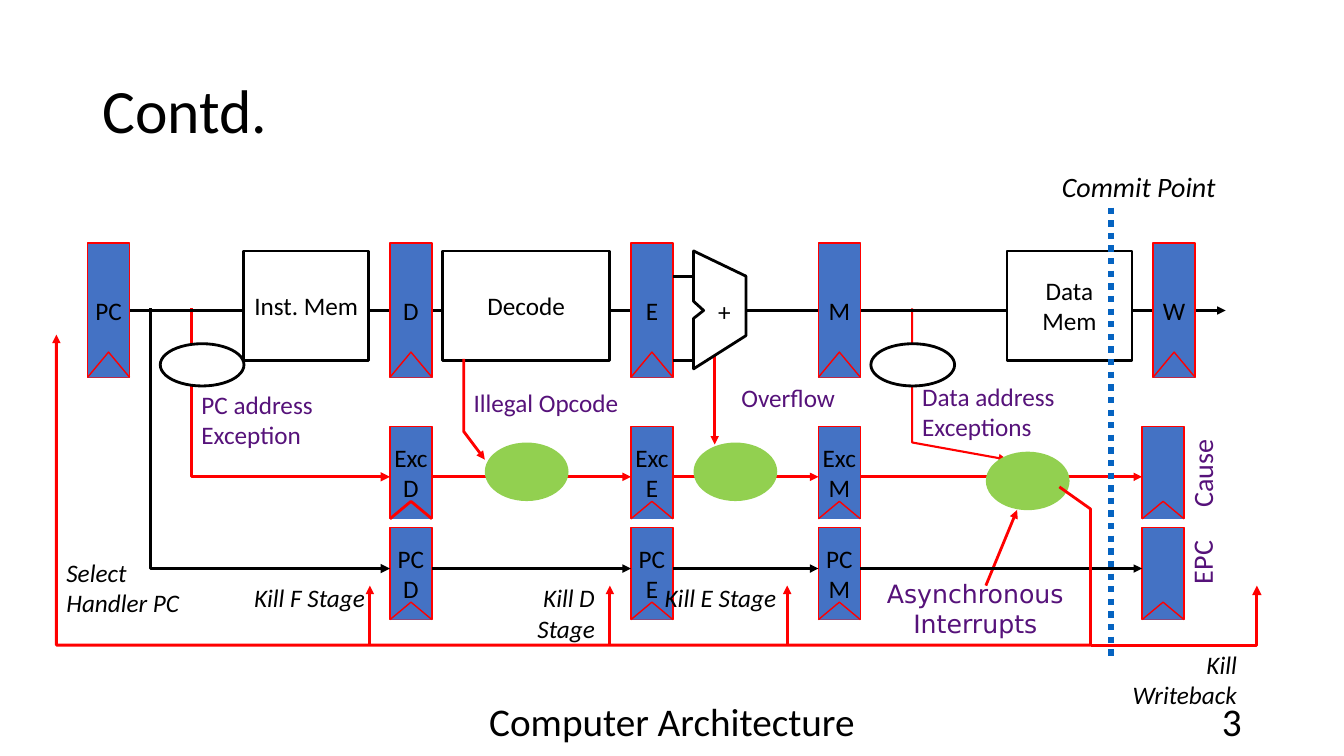
from dataclasses import dataclass
from itertools import pairwise

from lxml import etree
from pptx import Presentation
from pptx.dml.color import RGBColor
from pptx.enum.dml import MSO_LINE
from pptx.enum.shapes import MSO_CONNECTOR, MSO_SHAPE
from pptx.enum.text import MSO_ANCHOR, MSO_AUTO_SIZE, PP_ALIGN
from pptx.oxml.ns import qn
from pptx.util import Pt

LEFT, CENTER, RIGHT = PP_ALIGN.LEFT, PP_ALIGN.CENTER, PP_ALIGN.RIGHT
TOP, MIDDLE = MSO_ANCHOR.TOP, MSO_ANCHOR.MIDDLE
RECTANGLE, OVAL = MSO_SHAPE.RECTANGLE, MSO_SHAPE.OVAL
STRAIGHT = MSO_CONNECTOR.STRAIGHT
DOTTED = MSO_LINE.ROUND_DOT
NO_FIT = MSO_AUTO_SIZE.NONE


@dataclass(frozen=True)
class Theme:
    font: str = "Calibri"
    wide_font: str = "DejaVu Sans"
    black: str = "000000"
    white: str = "FFFFFF"
    red: str = "FF0000"
    blue: str = "4472C4"
    green: str = "92D050"
    purple: str = "56127A"
    commit: str = "0563C1"
    title: int = 44
    footer: int = 28
    large: int = 20
    body: int = 18


@dataclass(frozen=True)
class Row:
    top: float
    height: float
    notch: float
    wire: float


THEME = Theme()
STAGE_ROW = Row(173.5, 96, 18, 221.8)
CAUSE_ROW = Row(304.6, 66, 12.5, 340.6)
EPC_ROW = Row(376.6, 66, 12.5, 406.1)
REGISTER_WIDTH = 30
STAGES = {"PC": 62.6, "D": 278.6, "E": 450.7, "M": 584.6, "W": 823.7}
LAST_REGISTER = 815.8
BUS = 460.8


def rgb(color):
    return RGBColor.from_string(color)


def write(shape, text, size=THEME.body, color=THEME.black, align=CENTER,
          anchor=MIDDLE, wrap=True, italic=False, font=THEME.font):
    frame = shape.text_frame
    frame.text = text
    frame.word_wrap = wrap
    frame.auto_size = NO_FIT
    frame.vertical_anchor = anchor
    for para in frame.paragraphs:
        para.alignment = align
        for span in para.runs:
            span.font.name = font
            span.font.size = Pt(size)
            span.font.italic = italic
            span.font.color.rgb = rgb(color)


def outline(shape, color, width, arrow=False, dash=None):
    shape.line.color.rgb = rgb(color)
    shape.line.width = Pt(width)
    if dash:
        shape.line.dash_style = dash
    properties = shape._element.spPr
    if arrow:
        etree.SubElement(properties.find(qn("a:ln")), qn("a:tailEnd"), type="triangle")
    etree.SubElement(properties, qn("a:effectLst"))


def label(page, text, frame, rotation=0, **style):
    box = page.shapes.add_textbox(*map(Pt, frame))
    box.rotation = rotation
    write(box, text, **style)


def block(page, kind, frame, fill, line=None, width=2, text="", wrap=True):
    shape = page.shapes.add_shape(kind, *map(Pt, frame))
    shape.fill.solid()
    shape.fill.fore_color.rgb = rgb(fill)
    if line:
        outline(shape, line, width)
    else:
        shape.line.fill.background()
        shape.shadow.inherit = False
    if text:
        write(shape, text, wrap=wrap)


def polygon(page, points, close=False):
    start, *rest = [(Pt(x), Pt(y)) for x, y in points]
    builder = page.shapes.build_freeform(*start)
    builder.add_line_segments(rest, close=close)
    return builder.convert_to_shape()


def filled_polygon(page, points, fill, line, width, close=False):
    shape = polygon(page, points, close)
    shape.fill.solid()
    shape.fill.fore_color.rgb = rgb(fill)
    outline(shape, line, width)


def wire(page, points, color, width=2, arrow=True, dash=None):
    if len(points) == 2:
        ends = [Pt(value) for point in points for value in point]
        shape = page.shapes.add_connector(STRAIGHT, *ends)
    else:
        shape = polygon(page, points)
        shape.fill.background()
    outline(shape, color, width, arrow, dash)


def register(page, left, row, text="", notch_width=1):
    bottom = row.top + row.height
    block(page, RECTANGLE, (left, row.top, REGISTER_WIDTH, row.height),
          THEME.blue, THEME.red, 1, text, wrap=False)
    notch = [(left, bottom), (left + REGISTER_WIDTH / 2, bottom - row.notch),
             (left + REGISTER_WIDTH, bottom)]
    filled_polygon(page, notch, THEME.blue, THEME.red, notch_width)


def row_wires(page, row, color):
    lefts = [STAGES[name] for name in "DEM"] + [LAST_REGISTER]
    for left, following in pairwise(lefts):
        wire(page, [(left + REGISTER_WIDTH, row.wire), (following, row.wire)], color)


def datapath(page):
    y = STAGE_ROW.wire
    wire(page, [(651.6, 220.3), (651.6, 316.1), (719.3, 328.3)], THEME.red, 1.5)
    wire(page, [(136.8, 220.3), (136.8, CAUSE_ROW.wire), (STAGES["D"], CAUSE_ROW.wire)],
         THEME.red, 2.25)
    wire(page, [(510.5, 250.6), (510.5, 317.5)], THEME.red)
    wire(page, [(532.8, y), (875.5, y)], THEME.black)
    wire(page, [(77.8, y), (STAGES["E"], y)], THEME.black, arrow=False)
    for name, left in STAGES.items():
        register(page, left, STAGE_ROW, name)
    for text, left, width in (("Inst. Mem", 174.2, 89.3), ("Decode", 316.1, 119.5),
                              ("Data Mem", 719.3, 89.3)):
        block(page, RECTANGLE, (left, 179.3, width, 78), THEME.white, THEME.black, text=text)
    adder = [(495.4, 179.3), (495.4, 215.3), (502.6, y), (495.4, 227.5),
             (495.4, 263.5), (532.8, 239.8), (532.8, 197.3)]
    filled_polygon(page, adder, THEME.white, THEME.black, 2, close=True)
    for operand in (197.3, 257.8):
        wire(page, [(480.7, operand), (495.4, operand)], THEME.black, arrow=False)
    label(page, "+", (503.3, 209.5, 28.1, 26.6), wrap=False)


def exceptions(page):
    for left in (114.5, 622.1):
        block(page, OVAL, (left, 245.5, 59.8, 30.2), THEME.white, THEME.black)
    for text, frame in (("Illegal Opcode", (331.2, 262.1, 119.5, 50.4)),
                        ("Data address Exceptions", (651.6, 268.6, 179.3, 50.4)),
                        ("PC address Exception", (136.8, 274.3, 157.7, 50.4))):
        label(page, text, frame, color=THEME.purple, align=LEFT)
    label(page, "Overflow", (511.9, 269.3, 102.2, 28.8), color=THEME.purple, wrap=False)
    label(page, "Asynchronous\nInterrupts", (607, 409.7, 179.3, 50.4),
          color=THEME.purple, anchor=TOP, font=THEME.wide_font)
    wire(page, [(331.2, 256.3), (331.2, 308.2), (346.3, 328.3)], THEME.red)
    wire(page, [(704.2, 418.3), (726.5, 364.3)], THEME.red)
    for name in "DEM":
        register(page, STAGES[name], CAUSE_ROW, f"Exc\n{name}", 2 if name == "D" else 1)
        register(page, STAGES[name], EPC_ROW, f"PC\n{name}")
    for row in (CAUSE_ROW, EPC_ROW):
        register(page, LAST_REGISTER, row)
    row_wires(page, CAUSE_ROW, THEME.red)
    for text, frame, wrap in (("Cause", (822.2, 319, 80.6, 38.9), True),
                              ("EPC", (839.5, 382.3, 45.4, 38.9), False)):
        label(page, text, frame, 270, size=THEME.large, color=THEME.purple,
              anchor=TOP, wrap=wrap)
    wire(page, [(793.4, 148.3), (793.4, 472.3)], THEME.commit, 4.5, False, DOTTED)
    for left, top in ((346.3, 316.1), (495.4, 316.1), (704.2, 322.6)):
        block(page, OVAL, (left, top, 59.8, 41.8), THEME.green)
    wire(page, [(107.3, 220.3), (107.3, EPC_ROW.wire), (STAGES["D"], EPC_ROW.wire)],
         THEME.black, 2.25)
    row_wires(page, EPC_ROW, THEME.black)


def kill_signals(page):
    wire(page, [(756.7, 347.8), (779, 363.6), (779, BUS), (40.3, BUS), (40.3, 239)], THEME.red)
    note = {"italic": True, "anchor": TOP}
    for stage, x, right, width in (("D", 435.6, 432, 92), ("F", 264.2, 267.8, 97),
                                   ("E", 562.3, 561.6, 97)):
        wire(page, [(x, BUS), (x, 418.3)], THEME.red)
        label(page, f"Kill {stage} Stage", (right - width, 412.6, width, 51.1),
              align=RIGHT, **note)
    label(page, "Select Handler PC", (40.3, 394.6, 108.7, 72.7), align=LEFT, **note)
    label(page, "Kill Writeback", (779, 460.1, 111.6, 51.1), align=RIGHT, **note)
    wire(page, [(779, BUS), (897.8, BUS), (897.8, 418.3)], THEME.red, 2.25)
    label(page, "Commit Point", (697.7, 117.4, 177.8, 31.7), size=THEME.large,
          align=RIGHT, **note)


def main():
    deck = Presentation()
    deck.slide_width, deck.slide_height = Pt(960), Pt(540)
    page = deck.slides.add_slide(deck.slide_layouts[5])
    title = page.shapes.title
    title.left, title.top, title.width, title.height = map(Pt, (66, 28.8, 828, 104.4))
    write(title, "Contd.", THEME.title, align=LEFT)
    title.text_frame.paragraphs[0].line_spacing = 0.9
    label(page, "Computer Architecture", (318, 500.4, 324, 28.8), size=THEME.footer)
    label(page, "3", (678, 500.4, 216, 28.8), size=THEME.footer, align=RIGHT)
    datapath(page)
    exceptions(page)
    kill_signals(page)
    deck.save("out.pptx")


if __name__ == "__main__":
    main()
